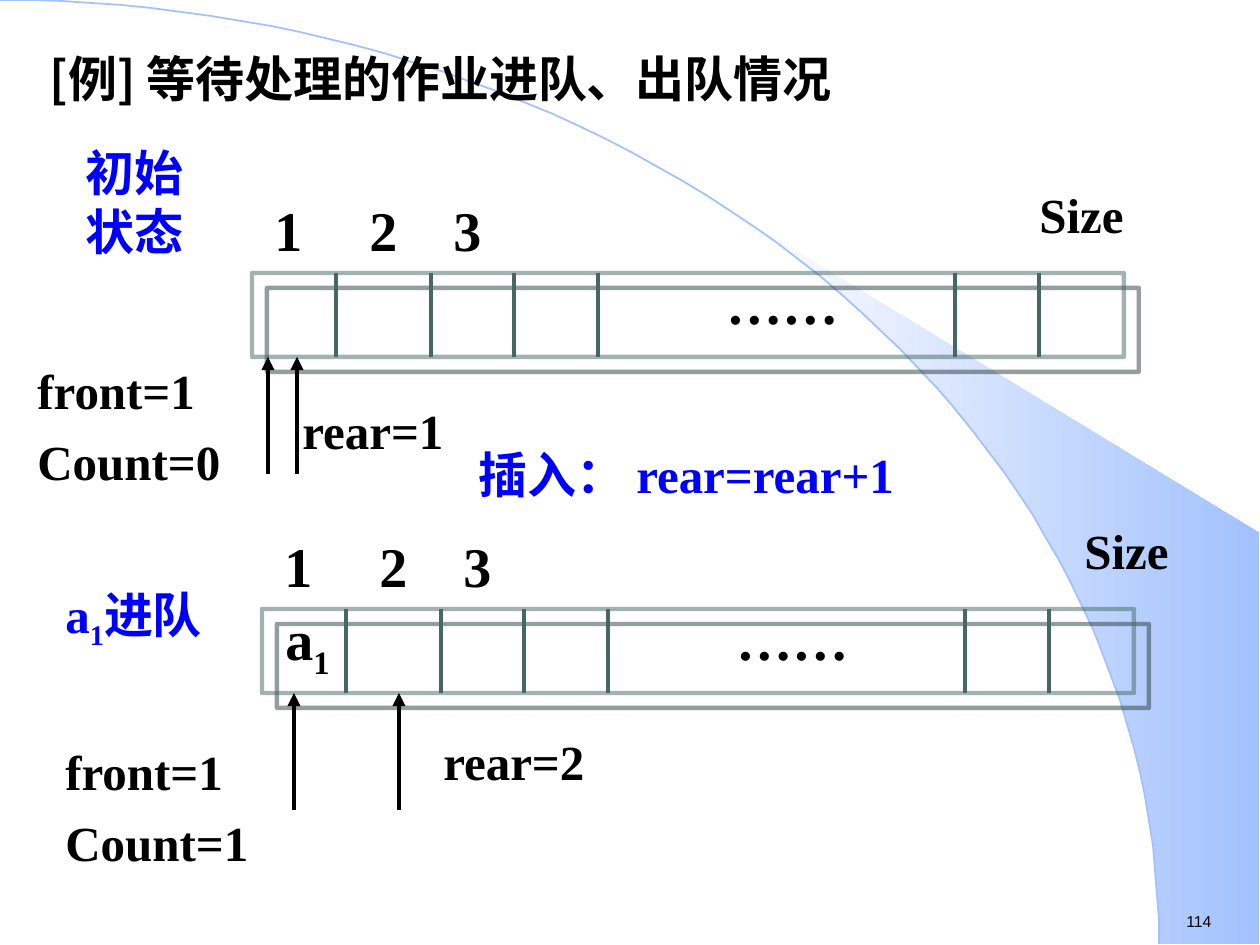
import math
from typing import NamedTuple

import pptx
import pptx.dml.color
import pptx.enum.shapes
import pptx.enum.text
import pptx.oxml
import pptx.oxml.ns
import pptx.util

PX = 914400 / 126  # EMU in one px
BLACK, BLUE, SKY, GREEN = "000000", "0000FF", "A2C1FE", "466861"
SERIF, SANS, HAN = "Times New Roman", "Arial", "Noto Sans CJK SC"
NS = pptx.oxml.ns.nsdecls("a")
ALIGN = pptx.enum.text.PP_ALIGN


class Queue(NamedTuple):
    left: int
    top: int
    size_end: int        # right edge of the "Size" box
    first: str           # content of the first cell
    arrows: tuple        # x of front and rear arrows


class Label(NamedTuple):
    text: str
    left: int
    top: int
    width: int
    height: int
    color: str = BLACK


QUEUES = [
    Queue(252, 273, 1136, "", (268, 297)),
    Queue(262, 609, 1181, "a_1", (294, 399)),
]
LABELS = [
    Label("初始状态", 73, 136, 126, 131, BLUE),
    Label("front=1\nCount=0", 25, 354, 284, 142),
    Label("rear=1", 290, 394, 242, 72),
    Label("插入： rear=rear+1", 466, 438, 486, 72, BLUE),
    Label("a_1_进队", 53, 578, 210, 79, BLUE),
    Label("front=1\nCount=1", 53, 735, 284, 142),
    Label("rear=2", 431, 725, 242, 72),
]
WIDTH, HEIGHT = 872, 84                   # queue frame
WALLS = (84, 179, 262, 346, 703, 787)     # dividers, from the frame's left
INDEX = {"1": 10, "2": 105, "3": 189}     # cell numbers, from the frame's left


def px(n: float) -> int:
    return round(n * PX)


def rgb(code: str):
    return pptx.dml.color.RGBColor.from_string(code)


def write(frame, text: str, size=28, font=SERIF, color=BLACK, bold=True,
          align=ALIGN.LEFT, wrap=True) -> None:
    """Fill a text frame; pieces between underscores are subscripts."""
    frame.word_wrap = wrap
    frame.auto_size = pptx.enum.text.MSO_AUTO_SIZE.NONE
    frame.vertical_anchor = pptx.enum.text.MSO_ANCHOR.TOP
    for i, line in enumerate(text.split("\n")):
        para = frame.add_paragraph() if i else frame.paragraphs[0]
        para.alignment = align
        if i:
            para.space_before = pptx.util.Pt(7)
        for j, part in enumerate(line.split("_")):
            run = para.add_run()
            run.text = part
            run.font.size = pptx.util.Pt(size)
            run.font.bold = bold
            run.font.name = font
            run.font.color.rgb = rgb(color)
            props = run.font._element
            props.append(pptx.oxml.parse_xml(f'<a:ea {NS} typeface="{HAN}"/>'))
            if j % 2:
                props.set("baseline", "-25000")


def add_text(slide, text: str, left, top, width, height, **form) -> None:
    box = slide.shapes.add_textbox(px(left), px(top), px(width), px(height))
    write(box.text_frame, text, **form)


def add_line(slide, x, y1, y2, color=GREEN, weight=2.25, arrow=False) -> None:
    line = slide.shapes.add_connector(
        pptx.enum.shapes.MSO_CONNECTOR.STRAIGHT, px(x), px(y1), px(x), px(y2))
    line.line.color.rgb = rgb(color)
    line.line.width = pptx.util.Pt(weight)
    if arrow:
        line.line._get_or_add_ln().append(
            pptx.oxml.parse_xml(f'<a:tailEnd {NS} type="triangle"/>'))
    line._element.spPr.append(pptx.oxml.parse_xml(f"<a:effectLst {NS}/>"))


def add_path(slide, points, close: bool):
    pen = slide.shapes.build_freeform(*points[0], scale=PX)
    pen.add_line_segments(points[1:], close=close)
    shape = pen.convert_to_shape()
    shape.shadow.inherit = False
    return shape


def add_back(slide) -> None:
    # Quarter ellipse centred on the lower left corner
    arc = [(1159 * math.sin(t), 944 * (1 - math.cos(t)))
           for t in (math.pi / 2 * i / 60 for i in range(61))]
    # Beam between the arc and the right edge
    edge = [p for p in arc if p[0] > 790]
    beam = add_path(slide, [(742, 218)] + edge + [(1259, 944), (1259, 533)], True)
    beam.line.fill.background()
    beam.fill.gradient()
    beam.fill.gradient_angle = 0
    for stop, (place, color) in zip(beam.fill.gradient_stops,
                                    ((0, "FFFFFF"), (1, SKY))):
        stop.position = place
        stop.color.rgb = rgb(color)
    curve = add_path(slide, arc, False)
    curve.fill.background()
    curve.line.color.rgb = rgb(SKY)
    curve.line.width = pptx.util.Pt(1)


def add_frame(slide, left: int, top: int) -> None:
    """Half-clear outline with a shadow down to the right."""
    rect = slide.shapes.add_shape(
        pptx.enum.shapes.MSO_SHAPE.RECTANGLE,
        px(left), px(top), px(WIDTH), px(HEIGHT))
    rect.fill.background()
    rect.line.color.rgb = rgb(GREEN)
    rect.line.width = pptx.util.Pt(2.5)
    tint = rect.line._get_or_add_ln().find(".//" + pptx.oxml.ns.qn("a:srgbClr"))
    tint.append(pptx.oxml.parse_xml(f'<a:alpha {NS} val="50000"/>'))
    rect._element.spPr.append(pptx.oxml.parse_xml(
        f'<a:effectLst {NS}><a:outerShdw dist="{pptx.util.Pt(12.1)}" '
        'dir="2700000" algn="ctr" rotWithShape="0">'
        '<a:srgbClr val="2A3E3A"/></a:outerShdw></a:effectLst>'))


def add_queue(slide, queue: Queue) -> None:
    left, top = queue.left, queue.top
    base = top + HEIGHT
    add_frame(slide, left, top)
    for wall in WALLS:
        add_line(slide, left + wall, top, base)
    for x in queue.arrows:
        add_line(slide, x, base + 117, base, BLACK, 2.5, True)
    for num, shift in INDEX.items():
        add_text(slide, num, left + shift, top - 84, 63, 81, size=32)
    add_text(slide, "……", left + 462, top - 11, 158, 81, size=32)
    if queue.first:
        add_text(slide, queue.first, left + 11, top - 11, 105, 89, size=32)
    add_text(slide, "Size", queue.size_end - 258, top - 95, 258, 72,
             align=ALIGN.RIGHT)


def main() -> None:
    deck = pptx.Presentation()
    deck.slide_width, deck.slide_height = px(1260), px(945)
    slide = deck.slides.add_slide(deck.slide_layouts[5])
    add_back(slide)

    # Title, raised above the backdrop
    title = slide.shapes.title
    title.left, title.top = px(37), px(42)
    title.width, title.height = px(1189), px(76)
    write(title.text_frame, "[例] 等待处理的作业进队、出队情况", font=HAN)
    slide.shapes._spTree.append(title._element)

    # Queues and their labels
    for queue in QUEUES:
        add_queue(slide, queue)
    for label in LABELS:
        add_text(slide, *label[:5], color=label.color)

    # Page number
    add_text(slide, "114", 1174, 906, 80, 32, size=9, font=SANS,
             bold=False, wrap=False)
    deck.save("out.pptx")


if __name__ == "__main__":
    main()
